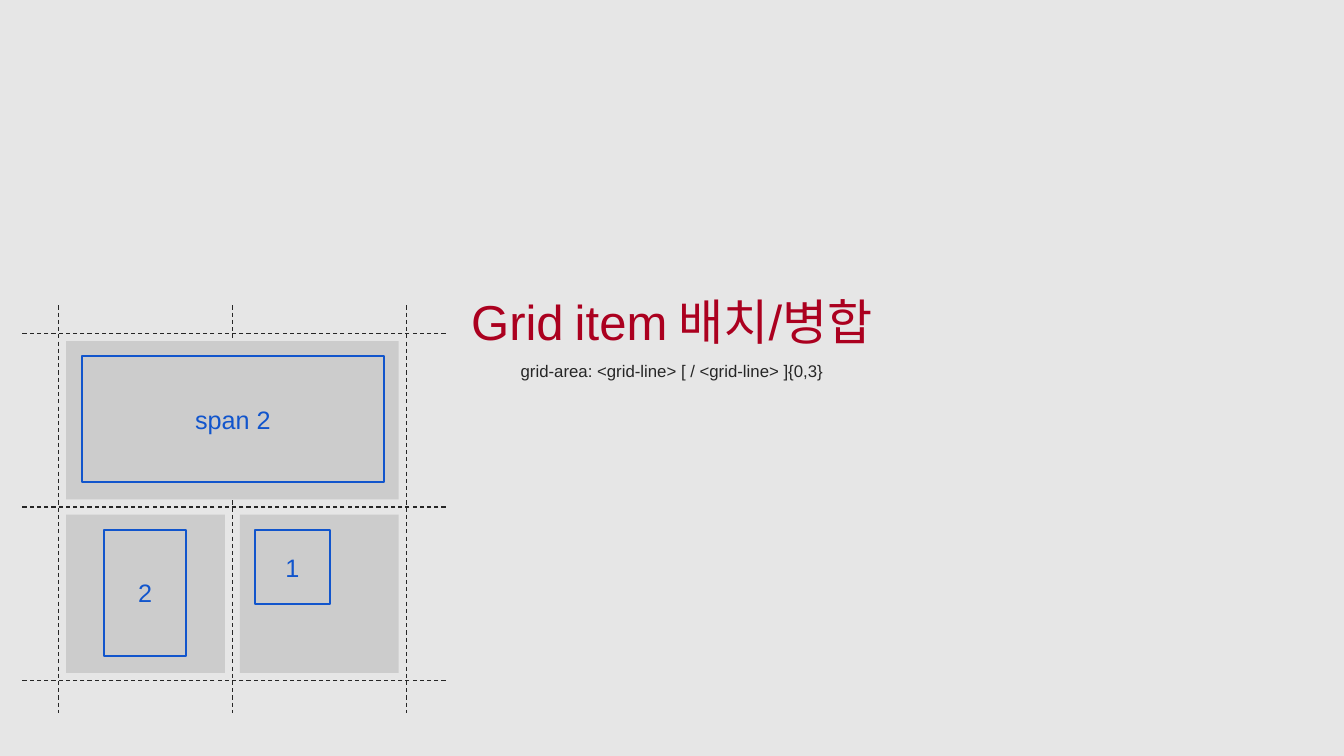
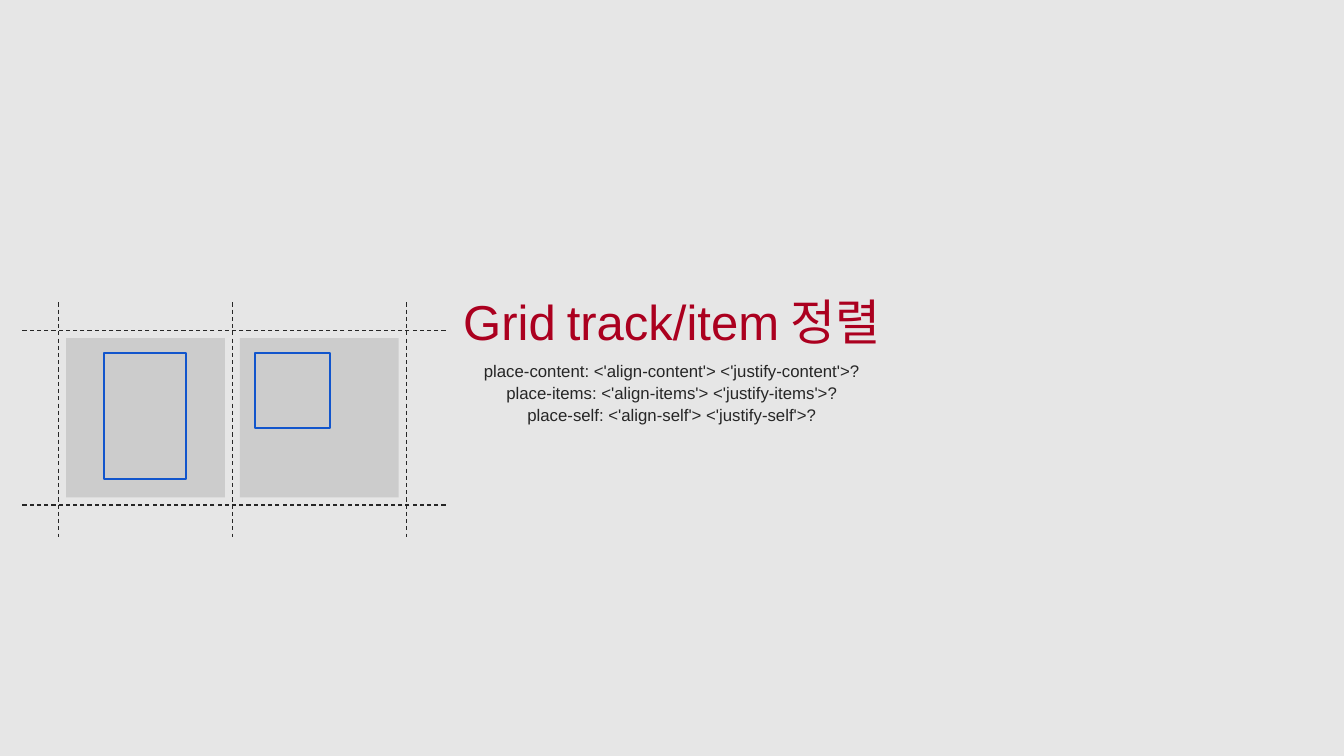
from collections import namedtuple

from lxml import etree
from pptx import Presentation
from pptx import util as u
from pptx.dml.color import RGBColor
from pptx.enum import dml, shapes, text
from pptx.oxml import ns

Box = namedtuple("Box", "left top width height")
Item = namedtuple("Item", "col row left width height label")

BACKDROP = RGBColor(0xE6, 0xE6, 0xE6)
CELL = RGBColor(0xCC, 0xCC, 0xCC)
BLUE = RGBColor(0x11, 0x55, 0xCC)
RED = RGBColor(0xAB, 0x00, 0x1F)
INK = RGBColor(0x26, 0x26, 0x26)
FONT = "Arial"

SLIDE_WIDTH, SLIDE_HEIGHT = 13.33, 7.5
TITLE_BOX = Box(0, 2.93, SLIDE_WIDTH, 0.5)
SYNTAX_BOX = Box(0, 3.52, SLIDE_WIDTH, 0.5)
GUTTER = 0.15
ITEM_INSET = 0.15
COLUMNS = 2
OVERHANG_LEFT, OVERHANG_RIGHT = 0.37, 0.39
OVERHANG_TOP, OVERHANG_BOTTOM = 0.28, 0.32


def inches(*lengths):
    return [u.Inches(length) for length in lengths]


def add_run(paragraph, words, size, color):
    run = paragraph.add_run()
    run.text = words
    run.font.size = u.Pt(size)
    run.font.name = FONT
    run.font.color.rgb = color
    etree.SubElement(run.font._element, ns.qn("a:ea"), typeface=FONT)


def add_text_frame(slide, box, anchor):
    frame = slide.shapes.add_textbox(*inches(*box)).text_frame
    frame.word_wrap = True
    frame.vertical_anchor = anchor
    return frame


def add_title(slide, box, words):
    frame = add_text_frame(slide, box, text.MSO_ANCHOR.MIDDLE)
    title = frame.paragraphs[0]
    title.alignment = text.PP_ALIGN.CENTER
    for index, word in enumerate(words):
        if index:
            add_run(title, " ", 28, RED)
        add_run(title, word, 35, RED)


def add_syntax(slide, box, rules):
    frame = add_text_frame(slide, box, text.MSO_ANCHOR.TOP)
    for index, rule in enumerate(rules):
        line = frame.add_paragraph() if index else frame.paragraphs[0]
        line.alignment = text.PP_ALIGN.CENTER
        line.line_spacing = 1.07
        add_run(line, rule, 12, INK)


def add_grid_line(slide, *ends):
    line = slide.shapes.add_connector(shapes.MSO_CONNECTOR.STRAIGHT, *inches(*ends))
    line.line.color.rgb = INK
    line.line.width = u.Pt(0.75)
    line.line.dash_style = dml.MSO_LINE.DASH
    etree.SubElement(line._element.spPr, ns.qn("a:effectLst"))


def add_rectangle(slide, box):
    rectangle = slide.shapes.add_shape(shapes.MSO_SHAPE.RECTANGLE, *inches(*box))
    rectangle.shadow.inherit = False
    return rectangle


def add_cell(slide, box):
    cell = add_rectangle(slide, box)
    cell.fill.solid()
    cell.fill.fore_color.rgb = CELL
    cell.line.fill.background()


def add_item(slide, box, label):
    outline = add_rectangle(slide, box)
    outline.fill.background()
    outline.line.color.rgb = BLUE
    outline.line.width = u.Pt(1.5)
    if label:
        frame = outline.text_frame
        frame.vertical_anchor = text.MSO_ANCHOR.MIDDLE
        frame.paragraphs[0].alignment = text.PP_ALIGN.CENTER
        add_run(frame.paragraphs[0], label, 18, BLUE)


def add_grid(slide, box, spans, items):
    rows = len(spans)
    track_width, track_height = box.width / COLUMNS, box.height / rows
    right, bottom = box.left + box.width, box.top + box.height

    def cell_corner(col, row):
        return (box.left + col * track_width + GUTTER / 2,
                box.top + row * track_height + GUTTER / 2)

    for row in range(rows + 1):
        y = box.top + row * track_height
        add_grid_line(slide, right + OVERHANG_RIGHT, y, box.left - OVERHANG_LEFT, y)
    for col in range(COLUMNS + 1):
        x = box.left + col * track_width
        add_grid_line(slide, x, box.top - OVERHANG_TOP, x, bottom + OVERHANG_BOTTOM)
    for row, span in enumerate(spans):
        for col in range(0, COLUMNS, span):
            add_cell(slide, Box(*cell_corner(col, row),
                                span * track_width - GUTTER, track_height - GUTTER))
    for item in items:
        x, y = cell_corner(item.col, item.row)
        add_item(slide, Box(x + item.left, y + ITEM_INSET, item.width, item.height),
                 item.label)


def cell_items(row, square_label="", tall_label=""):
    return [Item(1, row, ITEM_INSET, 0.74, 0.74, square_label),
            Item(0, row, 0.38, 0.81, 1.25, tall_label)]


def add_topic(prs, title, syntax, grid_box, spans, items):
    slide = prs.slides.add_slide(prs.slide_layouts[6])
    add_title(slide, TITLE_BOX, title)
    add_syntax(slide, SYNTAX_BOX, syntax)
    add_grid(slide, grid_box, spans, items)


def main():
    prs = Presentation()
    prs.slide_width, prs.slide_height = inches(SLIDE_WIDTH, SLIDE_HEIGHT)
    backdrop = prs.slide_master.background.fill
    backdrop.solid()
    backdrop.fore_color.rgb = BACKDROP

    add_topic(
        prs,
        ["Grid", "item", "배치/병합"],
        ["grid-area: <grid-line> [ / <grid-line> ]{0,3}"],
        Box(0.58, 3.31, 3.45, 3.44),
        [2, 1],
        cell_items(1, "1", "2") + [Item(0, 0, 0.16, 2.99, 1.25, "span 2")],
    )
    add_topic(
        prs,
        ["Grid", "track/item", "정렬"],
        ["place-content: <'align-content'> <'justify-content'>?",
         "place-items: <'align-items'> <'justify-items'>?",
         "place-self: <'align-self'> <'justify-self'>?"],
        Box(0.58, 3.28, 3.45, 1.73),
        [1],
        cell_items(0),
    )
    prs.save("out.pptx")


if __name__ == "__main__":
    main()
